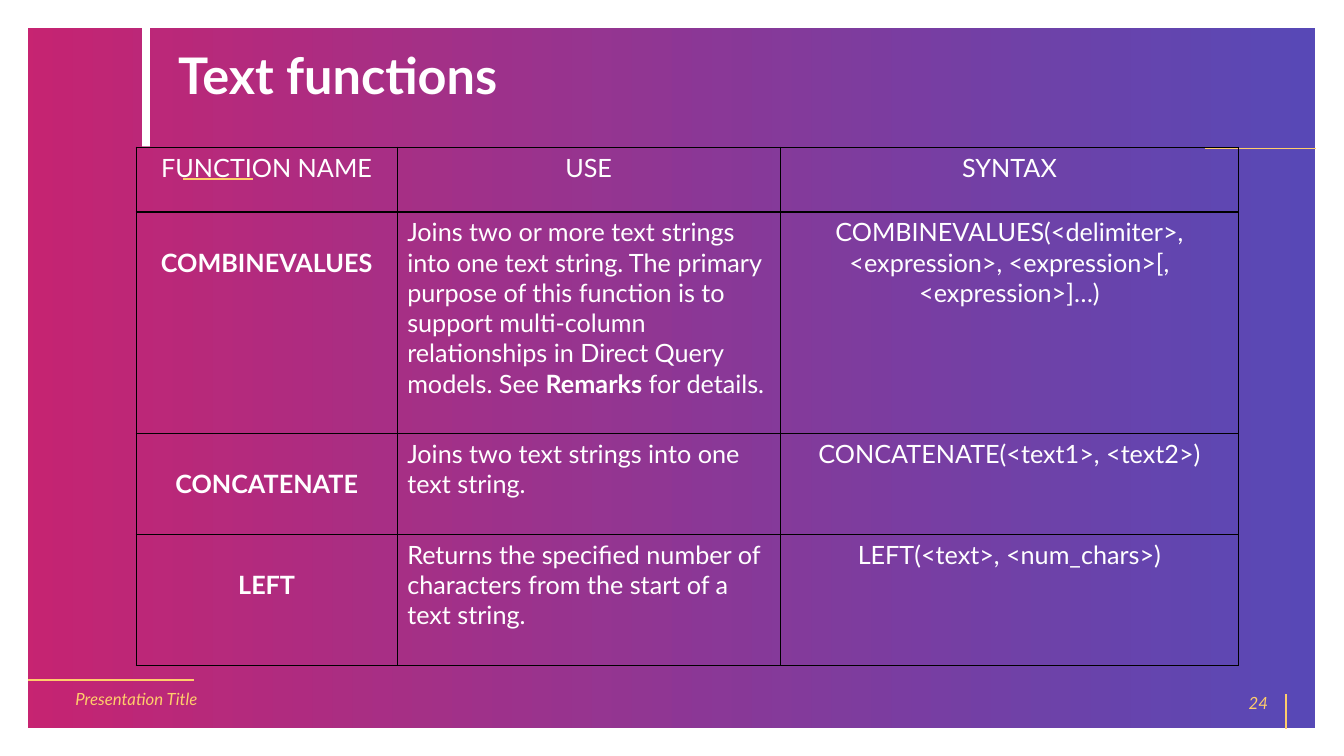
from dataclasses import dataclass
from lxml.etree import SubElement
from pptx import Presentation
from pptx.dml.color import RGBColor as Rgb
from pptx.enum.shapes import MSO_CONNECTOR as Link, MSO_SHAPE as Shape
from pptx.enum.text import MSO_ANCHOR as Anchor, PP_ALIGN as Align
from pptx.oxml.ns import qn
from pptx.util import Cm, Pt


@dataclass(frozen=True)
class Theme:
    """Colours, font and type sizes."""
    pink: str = "BE005A"
    blue: str = "3B2CAC"
    gold: str = "FFCD6B"
    white: str = "FFFFFF"
    black: str = "000000"
    face: str = "Lato"
    head: int = 36
    body: int = 18
    foot: int = 12


THEME = Theme()
HEADS = ["FUNCTION NAME", "USE", "SYNTAX"]
ROWS = [
    ("COMBINEVALUES",
     ["Joins two or more text strings into one text string. The primary purpose of this "
      "function is to support multi-column relationships in Direct Query models. See ",
      "Remarks", " for details."],
     "COMBINEVALUES(<delimiter>, <expression>, <expression>[, <expression>]…)"),
    ("CONCATENATE", ["Joins two text strings into one text string."],
     "CONCATENATE(<text1>, <text2>)"),
    ("LEFT", ["Returns the specified number of characters from the start of a text string."],
     "LEFT(<text>, <num_chars>)"),
]
WIDTHS = [6.58, 9.65, 11.56]
HEIGHTS = [1.63, 5.59, 2.54, 3.3]


def style(item, look):
    """Set each attribute in look on item."""
    for key, value in look.items():
        setattr(item, key, value)


def write(frame, parts, size, color, align=Align.LEFT, **look):
    """Write runs into the first paragraph of a text frame."""
    para = frame.paragraphs[0]
    para.alignment = align
    for text, bold in parts:
        run = para.add_run()
        run.text = text
        style(run.font, {"name": THEME.face, "size": Pt(size), "bold": bold, **look})
        run.font.color.rgb = Rgb.from_string(color)


def label(slide, box, text, size, color, anchor=Anchor.MIDDLE, align=Align.LEFT,
          bold=False, italic=False):
    """Add a text box."""
    frame = slide.shapes.add_textbox(*map(Cm, box)).text_frame
    style(frame, {"word_wrap": True, "vertical_anchor": anchor})
    write(frame, [(text, bold)], size, color, align, italic=italic)


def rule(slide, start, end, width=1.5):
    """Add a thin gold line."""
    line = slide.shapes.add_connector(Link.STRAIGHT, *map(Cm, (*start, *end)))
    line.line.color.rgb = Rgb.from_string(THEME.gold)
    line.line.width = Pt(width)
    SubElement(line.element.spPr, qn("a:effectLst"))


def panel(slide, box):
    """Draw the gradient ground with its white frame."""
    back = slide.shapes.add_shape(Shape.RECTANGLE, *map(Cm, box))
    back.shadow.inherit = False
    back.fill.gradient()
    back.fill.gradient_angle = 0
    for stop, color in zip(back.fill.gradient_stops, (THEME.pink, THEME.blue)):
        stop.color.rgb = Rgb.from_string(color)
    for tint in back.element.spPr.iter(qn("a:srgbClr")):
        SubElement(tint, qn("a:alpha"), val="85000")
    back.line.color.rgb = Rgb.from_string(THEME.white)
    back.line.width = Pt(21.5)


def header(slide, box):
    """Draw the white bar, the title and the accent lines."""
    left, top, width, height = box
    bar = slide.shapes.add_shape(Shape.RECTANGLE, *map(Cm, (left, top, 0.2, height)))
    bar.shadow.inherit = False
    bar.fill.solid()
    bar.fill.fore_color.rgb = Rgb.from_string(THEME.white)
    bar.line.fill.background()
    low = top + height + 0.81
    rule(slide, (left + 1.04, low), (left + 2.79, low))
    edge = top + height + 0.05
    rule(slide, (left + width - 2.8, edge), (left + width, edge), 0.5)
    label(slide, (left + 0.66, top + 0.3, 26.09, 3.33), "Text functions",
          THEME.head, THEME.white, Anchor.TOP, bold=True)


def footer(slide, box):
    """Draw the footer text, the slide number and their lines."""
    left, top, width, height = box
    right = left + width
    rule(slide, (left, top), (left + 4.19, top))
    rule(slide, (right, top + height), (right, top + 0.36))
    label(slide, (left + 0.94, top - 0.03, 7.75, 1.02), "Presentation Title",
          THEME.foot, THEME.gold, italic=True)
    label(slide, (right - 7.82, top + 0.05, 7.62, 1.02), "24",
          THEME.foot, THEME.gold, align=Align.RIGHT, italic=True)


def border(cell):
    """Clear the cell fill and give it black edges."""
    props = cell._tc.get_or_add_tcPr()
    for side in ("lnL", "lnR", "lnT", "lnB"):
        edge = SubElement(props, qn(f"a:{side}"), w=str(Pt(1)))
        SubElement(SubElement(edge, qn("a:solidFill")), qn("a:srgbClr"), val=THEME.black)
    cell.fill.background()


def grid(slide, box):
    """Draw the table of functions."""
    table = slide.shapes.add_table(len(HEIGHTS), len(WIDTHS), *map(Cm, box)).table
    style(table, {"first_row": False, "horz_banding": False})
    for col, width in zip(table.columns, WIDTHS):
        col.width = Cm(width)
    for row, height in zip(table.rows, HEIGHTS):
        row.height = Cm(height)
    lines = [[[(text, False)] for text in HEADS]]
    for name, use, form in ROWS:
        parts = [(text, text == "Remarks") for text in use]
        lines.append([[(name, True)], parts, [(form, False)]])
    for r, line in enumerate(lines):
        for c, parts in enumerate(line):
            cell = table.cell(r, c)
            border(cell)
            if r and c == 0:
                cell.margin_top = Cm(0.89)
            align = Align.LEFT if r and c == 1 else Align.CENTER
            write(cell.text_frame, parts, THEME.body, THEME.white, align)


def main():
    """Build and save the slide."""
    deck = Presentation()
    style(deck, {"slide_width": Cm(33.87), "slide_height": Cm(19.05)})
    slide = deck.slides.add_slide(deck.slide_layouts[6])
    panel(slide, (0.33, 0.33, 33.2, 18.39))
    header(slide, (3.58, 0.69, 29.59, 3))
    footer(slide, (0.71, 17.14, 31.7, 1.22))
    grid(slide, (3.43, 3.71, sum(WIDTHS), sum(HEIGHTS)))
    deck.save("out.pptx")


if __name__ == "__main__":
    main()
